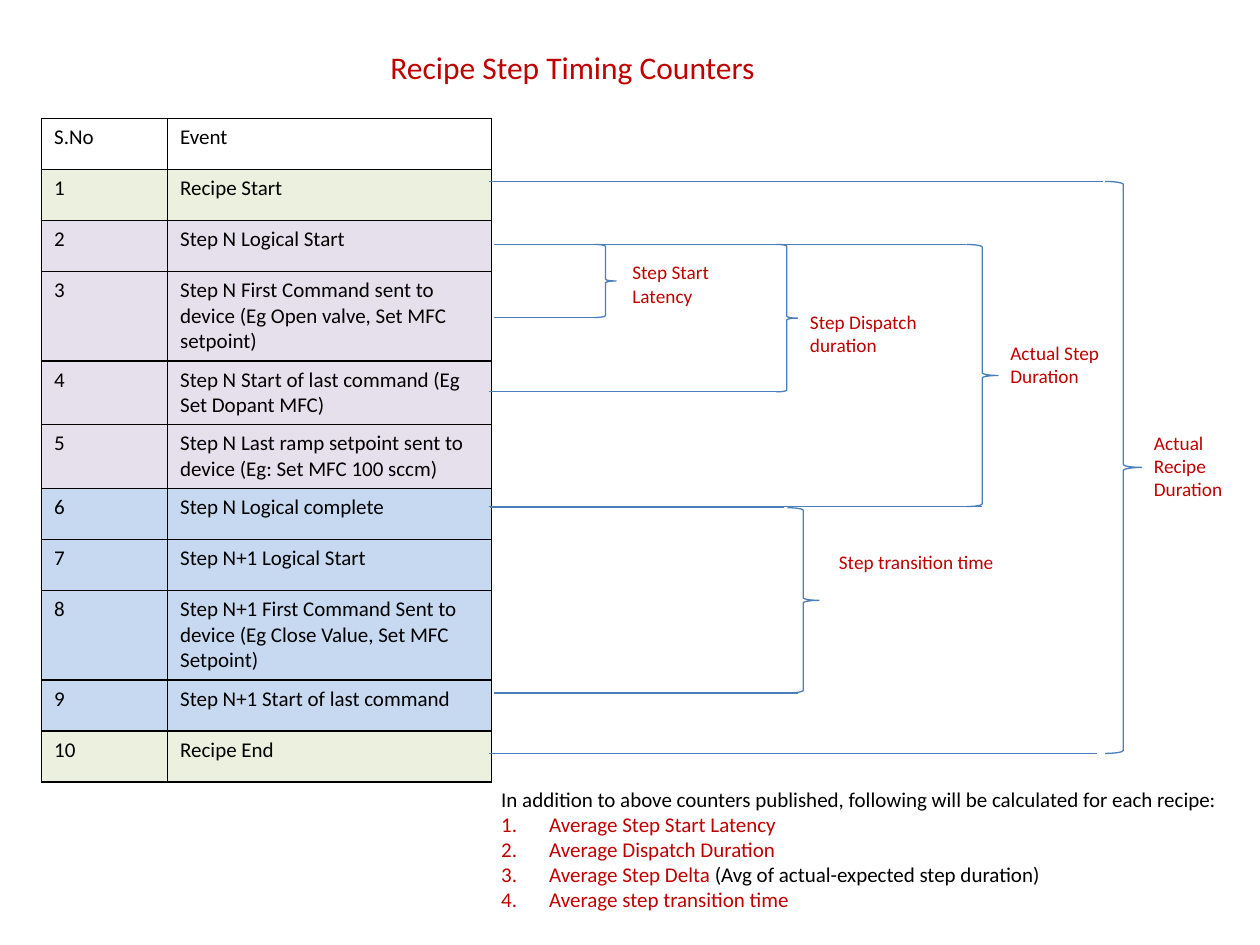
"""Build the recipe step timing counters slide."""
from typing import NamedTuple

import lxml.etree
import pptx
import pptx.dml.color
import pptx.enum.shapes
import pptx.enum.text
import pptx.oxml.ns
import pptx.util

Inches = pptx.util.Inches
RGBColor = pptx.dml.color.RGBColor
qn = pptx.oxml.ns.qn

BLACK = RGBColor(0x00, 0x00, 0x00)
WHITE = RGBColor(0xFF, 0xFF, 0xFF)
RED = RGBColor(0xC0, 0x00, 0x00)
BLUE = RGBColor(0x4B, 0x7E, 0xBC)
GREEN_FILL = RGBColor(0xEB, 0xF1, 0xDE)
PURPLE_FILL = RGBColor(0xE6, 0xE0, 0xEC)
BLUE_FILL = RGBColor(0xC6, 0xD9, 0xF1)


class Event(NamedTuple):
    number: str
    name: str
    fill: RGBColor


class Rule(NamedTuple):
    left: float
    right: float
    y: float


class Brace(NamedTuple):
    left: float
    top: float
    width: float
    height: float


class Label(NamedTuple):
    left: float
    top: float
    width: float
    height: float
    lines: tuple[str, ...]
    size: float = 11
    wrap: bool = False


STEPS = [
    ("Recipe Start", GREEN_FILL),
    ("Step N Logical Start", PURPLE_FILL),
    ("Step N First Command sent to device (Eg Open valve, Set MFC setpoint)", PURPLE_FILL),
    ("Step N Start of last command (Eg Set Dopant MFC)", PURPLE_FILL),
    ("Step N Last ramp setpoint sent to device (Eg: Set MFC 100 sccm)", PURPLE_FILL),
    ("Step N Logical complete", BLUE_FILL),
    ("Step N+1 Logical Start", BLUE_FILL),
    ("Step N+1 First Command Sent to device (Eg Close Value, Set MFC Setpoint)", BLUE_FILL),
    ("Step N+1 Start of last command", BLUE_FILL),
    ("Recipe End", GREEN_FILL),
]
EVENTS = [Event("S.No", "Event", WHITE)] + [
    Event(str(number), name, fill) for number, (name, fill) in enumerate(STEPS, 1)
]
RULES = [
    Rule(3.92, 7.67, 1.94),
    Rule(3.88, 7.79, 4.02),
    Rule(3.92, 4.72, 2.52),
    Rule(3.88, 6.16, 3.11),
    Rule(3.89, 6.22, 4.03),
    Rule(3.92, 6.33, 5.5),
    Rule(3.88, 8.75, 1.44),
    Rule(3.88, 8.71, 5.98),
]
BRACES = [
    Brace(7.67, 1.94, 0.25, 2.08),
    Brace(4.72, 1.94, 0.17, 0.58),
    Brace(6.16, 1.94, 0.17, 1.17),
    Brace(6.25, 4.03, 0.25, 1.47),
    Brace(8.77, 1.44, 0.29, 4.54),
]
LABELS = [
    Label(3, 0.33, 3.19, 0.4, ("Recipe Step Timing Counters ",), size=18),
    Label(7.92, 2.66, 0.95, 0.47, ("Actual Step ", "Duration")),
    Label(4.92, 2.02, 0.85, 0.47, ("Step Start ", "Latency")),
    Label(6.33, 2.41, 1.09, 0.47, ("Step Dispatch ", "duration")),
    Label(6.56, 4.32, 1.44, 0.29, ("Step transition time",)),
    Label(9.06, 3.37, 0.94, 0.66, ("Actual Recipe ", "Duration"), wrap=True),
]
AVERAGES = [
    ("Average Step Start Latency", ""),
    ("Average Dispatch Duration", ""),
    ("Average Step Delta ", "(Avg of actual-expected step duration)"),
    ("Average step transition time", ""),
]


def add_span(para, text: str, *, size: float = 12, color: RGBColor = BLACK) -> None:
    span = para.add_run()
    span.text = text
    span.font.name = "Calibri"
    span.font.size = pptx.util.Pt(size)
    span.font.color.rgb = color


def add_box(slide, left: float, top: float, width: float, height: float, wrap: bool = False):
    box = slide.shapes.add_textbox(Inches(left), Inches(top), Inches(width), Inches(height))
    box.text_frame.word_wrap = wrap
    box.text_frame.auto_size = pptx.enum.text.MSO_AUTO_SIZE.SHAPE_TO_FIT_TEXT
    return box.text_frame


def add_label(slide, label: Label) -> None:
    frame = add_box(slide, label.left, label.top, label.width, label.height, label.wrap)
    for index, line in enumerate(label.lines):
        para = frame.add_paragraph() if index else frame.paragraphs[0]
        add_span(para, line, size=label.size, color=RED)


def add_borders(cell) -> None:
    properties = cell._tc.get_or_add_tcPr()
    for side in ("a:lnL", "a:lnR", "a:lnT", "a:lnB"):
        border = lxml.etree.SubElement(properties, qn(side), w=str(pptx.util.Pt(1)))
        fill = lxml.etree.SubElement(border, qn("a:solidFill"))
        lxml.etree.SubElement(fill, qn("a:srgbClr"), val=str(BLACK))


def add_event_table(slide) -> None:
    frame = slide.shapes.add_table(
        len(EVENTS), 2, Inches(0.33), Inches(0.94), Inches(3.57), Inches(0.405 * len(EVENTS))
    )
    table = frame.table
    table.first_row = False
    table.horz_banding = False
    table.columns[0].width = Inches(1)
    table.columns[1].width = Inches(2.57)
    for row, event in enumerate(EVENTS):
        for column, text in enumerate((event.number, event.name)):
            cell = table.cell(row, column)
            add_borders(cell)
            cell.fill.solid()
            cell.fill.fore_color.rgb = event.fill
            add_span(cell.text_frame.paragraphs[0], text)


def style_line(line) -> None:
    line.color.rgb = BLUE
    line.width = pptx.util.Pt(0.75)


def add_rule(slide, rule: Rule) -> None:
    connector = slide.shapes.add_connector(
        pptx.enum.shapes.MSO_CONNECTOR.STRAIGHT,
        Inches(rule.left), Inches(rule.y), Inches(rule.right), Inches(rule.y),
    )
    style_line(connector.line)
    lxml.etree.SubElement(connector._element.spPr, qn("a:effectLst"))


def add_brace(slide, brace: Brace) -> None:
    shape = slide.shapes.add_shape(
        pptx.enum.shapes.MSO_SHAPE.RIGHT_BRACE, *(Inches(length) for length in brace)
    )
    shape.shadow.inherit = False
    shape.fill.background()
    style_line(shape.line)


def add_summary(slide) -> None:
    frame = add_box(slide, 3.88, 6.19, 5.94, 1.11)
    add_span(
        frame.paragraphs[0],
        "In addition to above counters published, following will be calculated for each recipe:",
    )
    for average, remark in AVERAGES:
        para = frame.add_paragraph()
        properties = para._p.get_or_add_pPr()
        properties.set("marL", str(Inches(0.38)))
        properties.set("indent", str(Inches(-0.38)))
        lxml.etree.SubElement(properties, qn("a:buAutoNum"), type="arabicPeriod")
        add_span(para, average, color=RED)
        if remark:
            add_span(para, remark)


def main() -> None:
    deck = pptx.Presentation()
    deck.slide_width = Inches(10)
    deck.slide_height = Inches(7.5)
    page = deck.slides.add_slide(deck.slide_layouts[6])
    add_event_table(page)
    for rule in RULES:
        add_rule(page, rule)
    for brace in BRACES:
        add_brace(page, brace)
    for label in LABELS:
        add_label(page, label)
    add_summary(page)
    deck.save("out.pptx")


main()
